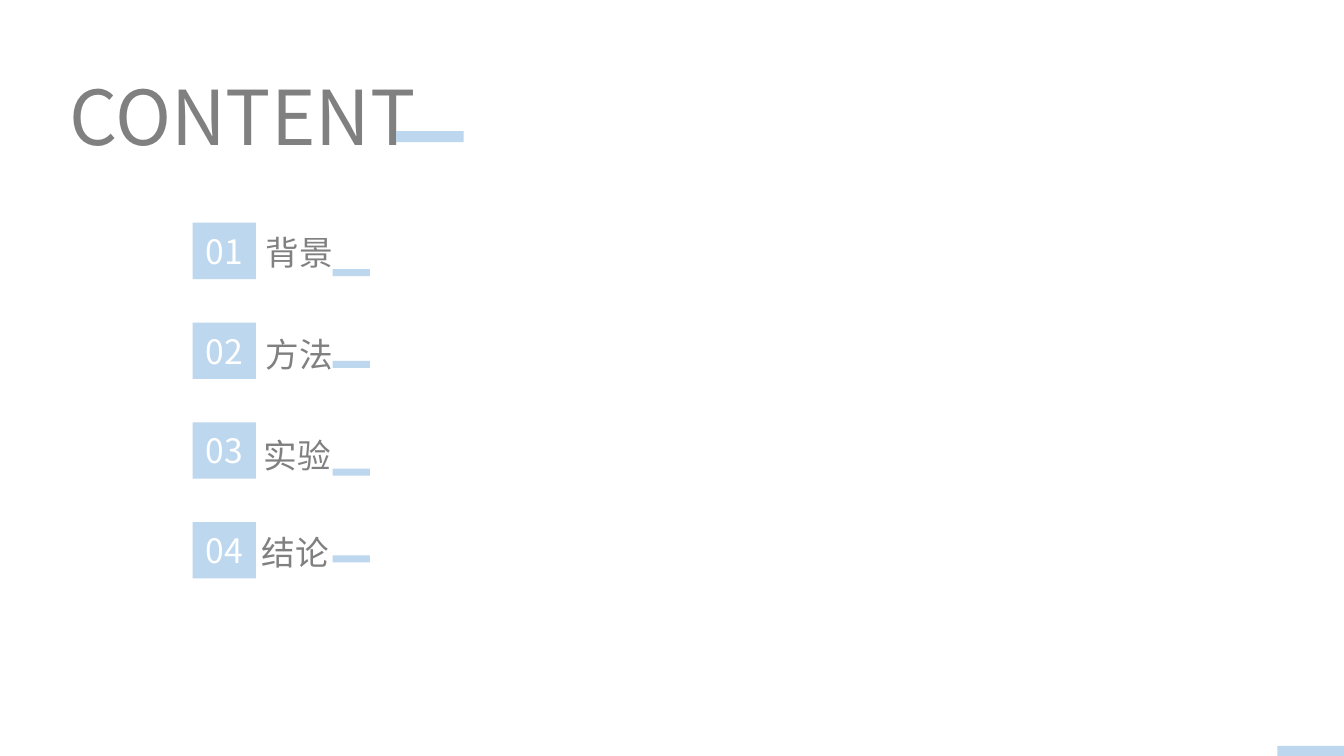
from lxml.etree import SubElement
from pptx import Presentation
from pptx.dml.color import RGBColor
from pptx.enum.shapes import MSO_SHAPE
from pptx.enum.text import MSO_ANCHOR, MSO_AUTO_SIZE, PP_ALIGN
from pptx.oxml.ns import qn
from pptx.util import Inches, Pt

BLUE = RGBColor(0xBD, 0xD7, 0xEE)
GRAY = RGBColor(0x80, 0x80, 0x80)
WHITE = RGBColor(0xFF, 0xFF, 0xFF)
FONT = "Noto Sans CJK SC"

NUMBER_TOP = 2.21
ROW_STEP = 0.99
# Heading, heading left, heading top, heading width, dash top
SECTIONS = [
    ("背景", 2.54, 2.3, 2.86, 2.67),
    ("方法", 2.54, 3.31, 2.86, 3.58),
    ("实验", 2.52, 4.31, 2.83, 4.65),
    ("结论", 2.5, 5.27, 2.83, 5.51),
]


def write_text(shape, text, size=24, color=GRAY, align=PP_ALIGN.LEFT,
               anchor=MSO_ANCHOR.TOP, line_spacing=None, space_before=None):
    frame = shape.text_frame
    frame.word_wrap = True
    frame.auto_size = MSO_AUTO_SIZE.SHAPE_TO_FIT_TEXT
    frame.vertical_anchor = anchor
    paragraph = frame.paragraphs[0]
    paragraph.alignment = align
    paragraph.line_spacing = line_spacing
    paragraph.space_before = space_before
    run = paragraph.add_run()
    run.text = text
    run.font.size = Pt(size)
    run.font.color.rgb = color
    run.font.name = FONT
    # Chinese characters take the East Asian typeface.
    SubElement(run.font._element, qn("a:ea"), typeface=FONT)


def add_text(slide, text, left, top, width, height, **text_format):
    box = slide.shapes.add_textbox(Inches(left), Inches(top), Inches(width), Inches(height))
    write_text(box, text, **text_format)


def add_block(slide, left, top, width, height):
    """Add a plain blue rectangle and return it."""
    block = slide.shapes.add_shape(
        MSO_SHAPE.RECTANGLE, Inches(left), Inches(top), Inches(width), Inches(height))
    block.shadow.inherit = False
    block.fill.solid()
    block.fill.fore_color.rgb = BLUE
    block.line.fill.background()
    return block


def add_section(slide, index, heading, left, top, width, dash_top):
    number = add_block(slide, 1.91, NUMBER_TOP + index * ROW_STEP, 0.63, 0.56)
    write_text(number, f"{index + 1:02}", color=WHITE, align=PP_ALIGN.CENTER,
               anchor=MSO_ANCHOR.MIDDLE)
    add_text(slide, heading, left, top, width, 0.46, line_spacing=0.9, space_before=Pt(10))
    add_block(slide, 3.3, dash_top, 0.37, 0.07)


def main():
    presentation = Presentation()
    presentation.slide_width = Inches(13.33)
    presentation.slide_height = Inches(7.5)
    slide = presentation.slides.add_slide(presentation.slide_layouts[6])

    add_block(slide, 12.67, 7.4, 0.66, 0.1)
    add_text(slide, "CONTENT", 0.59, 0.64, 6.66, 1.01, size=54)
    add_block(slide, 3.93, 1.3, 0.67, 0.11)
    for index, section in enumerate(SECTIONS):
        add_section(slide, index, *section)

    presentation.save("out.pptx")


if __name__ == "__main__":
    main()
